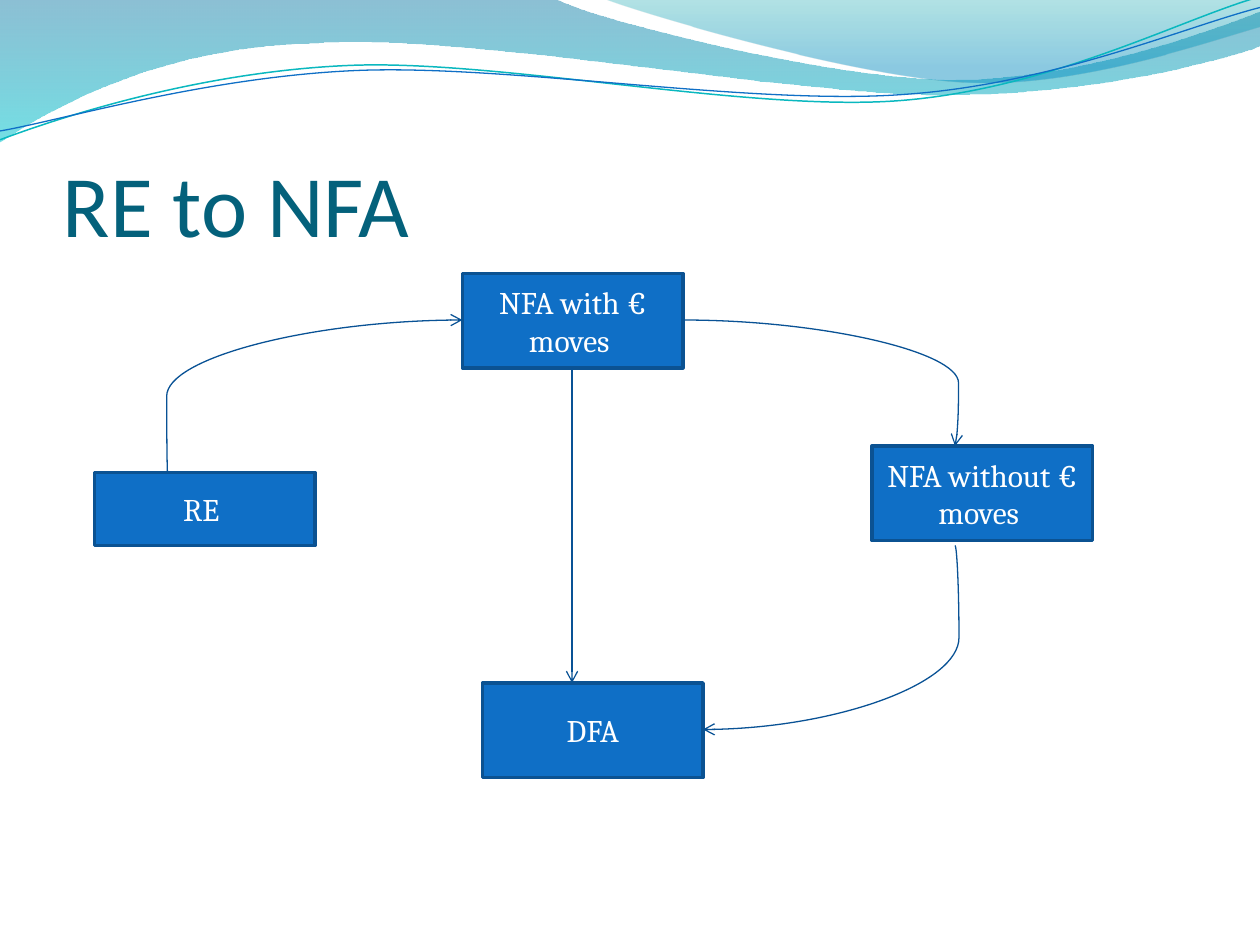
from math import cos, radians, sin
from typing import NamedTuple, Optional

from lxml import etree
from pptx import Presentation
from pptx.dml.color import RGBColor
from pptx.enum.shapes import MSO_CONNECTOR, MSO_SHAPE
from pptx.enum.text import MSO_ANCHOR, PP_ALIGN
from pptx.oxml.ns import qn
from pptx.util import Inches, Pt

RECTANGLE = MSO_SHAPE.RECTANGLE
CURVE, STRAIGHT = MSO_CONNECTOR.CURVE, MSO_CONNECTOR.STRAIGHT
LEFT, CENTER = PP_ALIGN.LEFT, PP_ALIGN.CENTER
MIDDLE, BOTTOM = MSO_ANCHOR.MIDDLE, MSO_ANCHOR.BOTTOM

WHITE = RGBColor(0xFF, 0xFF, 0xFF)
TITLE_TEAL = RGBColor(0x04, 0x61, 0x7B)
BOX_BLUE = RGBColor(0x0F, 0x6F, 0xC6)
BOX_EDGE = RGBColor(0x0B, 0x52, 0x92)
ARROW_BLUE = RGBColor(0x09, 0x52, 0x95)
WAVE_TEAL = RGBColor(0x0A, 0xB8, 0xBF)
BAND_BLUE = RGBColor(0x00, 0x74, 0xA1)
BAND_TEAL = RGBColor(0x00, 0xC6, 0xCF)
CREST_TEAL = RGBColor(0x00, 0xA1, 0xA9)
CREST_BLUE = RGBColor(0x00, 0x8B, 0xBF)

BOX_WIDTH = 1.75
WAVE_TILT = -2.7  # degrees
TILT_CENTER = (5, 0.58)


class Stop(NamedTuple):
    position: float
    color: RGBColor
    opacity: int  # percent


class Wave(NamedTuple):
    start: tuple
    segments: list  # one point: straight line; three points: cubic curve
    stops: Optional[list] = None
    color: Optional[RGBColor] = None
    weight: float = 0
    tilt: float = 0


class State(NamedTuple):
    label: str
    left: float
    top: float
    height: float = 0.75


class Arrow(NamedTuple):
    start: tuple
    end: tuple
    bend: Optional[float] = None  # None: straight


WAVES = [
    Wave((0, 0), [[(4.4, -0.01)],
                  [(4.76, 0.17), (6.64, 0.63), (7.58, 0.63)],
                  [(8.53, 0.63), (9.58, 0.26), (10, 0.09)],
                  [(10.01, 0.36)],
                  [(9.83, 0.44), (8.7, 0.76), (7.46, 0.75)],
                  [(6.22, 0.75), (3.82, 0.28), (2.57, 0.34)],
                  [(1.29, 0.36), (0.46, 0.83), (-0.01, 1.13)],
                  [(0, 0)]],
         stops=[Stop(0, BAND_BLUE, 45), Stop(1, BAND_TEAL, 55)]),
    Wave((4.79, -0.01), [[(5.09, 0.11), (6.82, 0.62), (7.69, 0.65)],
                         [(8.56, 0.69), (9.61, 0.32), (10, 0.21)],
                         [(10, 0)],
                         [(4.79, -0.01)]],
         stops=[Stop(0, CREST_TEAL, 30), Stop(0.8, CREST_BLUE, 45)]),
    Wave((0, 1.11), [[(0.48, 0.93), (1.58, 0.57), (2.77, 0.52)],
                     [(3.95, 0.47), (5.93, 0.89), (7.13, 0.8)],
                     [(8.33, 0.71), (9.38, 0.15), (9.98, -0.02)]],
         color=WAVE_TEAL, weight=0.85, tilt=WAVE_TILT),
    Wave((0, 1.04), [[(0.47, 0.96), (1.64, 0.61), (2.83, 0.56)],
                     [(4.03, 0.51), (5.97, 0.84), (7.17, 0.75)],
                     [(8.36, 0.67), (9.41, 0.21), (10, 0.06)]],
         color=BOX_BLUE, weight=0.75, tilt=WAVE_TILT),
]

STATES = [
    State("RE ", 0.75, 3.75, height=0.58),
    State("NFA with € moves ", 3.67, 2.17),
    State("NFA without € moves ", 6.92, 3.54),
    State("DFA", 3.83, 5.42),
]

ARROWS = [
    Arrow((1.33, 3.75), (3.67, 2.54), bend=-0.003),
    Arrow((5.42, 2.54), (7.58, 3.54), bend=1.013),
    Arrow((7.58, 4.33), (5.58, 5.79), bend=-0.016),
    Arrow((4.54, 2.92), (4.54, 5.42)),
]


def untilt(point: tuple, tilt: float) -> tuple:
    """Slide point in EMU, before the shape is turned by tilt."""
    dx, dy = point[0] - TILT_CENTER[0], point[1] - TILT_CENTER[1]
    c, s = cos(radians(-tilt)), sin(radians(-tilt))
    return (Inches(TILT_CENTER[0] + dx * c - dy * s),
            Inches(TILT_CENTER[1] + dx * s + dy * c))


def draw_wave(slide, wave: Wave) -> None:
    segments = [[untilt(p, wave.tilt) for p in segment] for segment in wave.segments]
    builder = slide.shapes.build_freeform(*untilt(wave.start, wave.tilt))
    builder.add_line_segments([segment[-1] for segment in segments],
                              close=wave.stops is not None)
    shape = builder.convert_to_shape()
    left, top = builder.shape_offset_x, builder.shape_offset_y
    # Bend the segments that have control points
    lines = list(shape._element.spPr.iter(qn("a:lnTo")))
    for line, segment in zip(lines, segments):
        if len(segment) == 3:
            line.tag = qn("a:cubicBezTo")
            for index, (x, y) in enumerate(segment[:2]):
                control = etree.Element(qn("a:pt"), x=str(x - left), y=str(y - top))
                line.insert(index, control)
    shape.rotation = wave.tilt
    shape.shadow.inherit = False
    if wave.stops is None:
        shape.fill.background()
        shape.line.color.rgb = wave.color
        shape.line.width = Pt(wave.weight)
        return
    shape.line.fill.background()
    shape.fill.gradient()
    shape.fill.gradient_angle = 270  # top to bottom
    for gradient_stop, stop in zip(shape.fill.gradient_stops, wave.stops):
        gradient_stop.position = stop.position
        gradient_stop.color.rgb = stop.color
    for color, stop in zip(shape._element.spPr.iter(qn("a:srgbClr")), wave.stops):
        etree.SubElement(color, qn("a:alpha"), val=str(stop.opacity * 1000))


def write_text(shape, text: str, *, font: str, size: float, color: RGBColor,
               align=LEFT, anchor=MIDDLE, insets=(0.1, 0.05, 0.1, 0.05)) -> None:
    frame = shape.text_frame
    frame.word_wrap = True
    frame.vertical_anchor = anchor
    (frame.margin_left, frame.margin_top,
     frame.margin_right, frame.margin_bottom) = map(Inches, insets)
    paragraph = frame.paragraphs[0]
    paragraph.alignment = align
    run = paragraph.add_run()
    run.text = text
    run.font.name = font
    run.font.size = Pt(size)
    run.font.color.rgb = color


def draw_state(slide, state: State) -> None:
    box = slide.shapes.add_shape(RECTANGLE, Inches(state.left), Inches(state.top),
                                 Inches(BOX_WIDTH), Inches(state.height))
    box.shadow.inherit = False
    box.fill.solid()
    box.fill.fore_color.rgb = BOX_BLUE
    box.line.color.rgb = BOX_EDGE
    box.line.width = Pt(2)
    write_text(box, state.label, font="Cambria", size=18, color=WHITE, align=CENTER)


def draw_arrow(slide, arrow: Arrow) -> None:
    kind = STRAIGHT if arrow.bend is None else CURVE
    connector = slide.shapes.add_connector(
        kind, *map(Inches, arrow.start + arrow.end))
    connector.line.color.rgb = ARROW_BLUE
    connector.line.width = Pt(0.75)
    properties = connector._element.spPr
    etree.SubElement(properties.find(qn("a:ln")), qn("a:tailEnd"), type="arrow")
    etree.SubElement(properties, qn("a:effectLst"))
    if arrow.bend is not None:
        adjustments = properties.find(qn("a:prstGeom")).find(qn("a:avLst"))
        etree.SubElement(adjustments, qn("a:gd"), name="adj1",
                         fmla=f"val {round(arrow.bend * 100000)}")


def main() -> None:
    deck = Presentation()
    deck.slide_width, deck.slide_height = Inches(10), Inches(7.5)
    slide = deck.slides.add_slide(deck.slide_layouts[6])
    # Wave decoration
    for wave in WAVES:
        draw_wave(slide, wave)
    # Title
    title = slide.shapes.add_textbox(Inches(0.5), Inches(0.77), Inches(9), Inches(1.25))
    write_text(title, "RE to NFA", font="Calibri", size=50, color=TITLE_TEAL,
               anchor=BOTTOM, insets=(0, 0.05, 0, 0))
    # Conversion diagram
    for state in STATES:
        draw_state(slide, state)
    for arrow in ARROWS:
        draw_arrow(slide, arrow)
    deck.save("out.pptx")


if __name__ == "__main__":
    main()
